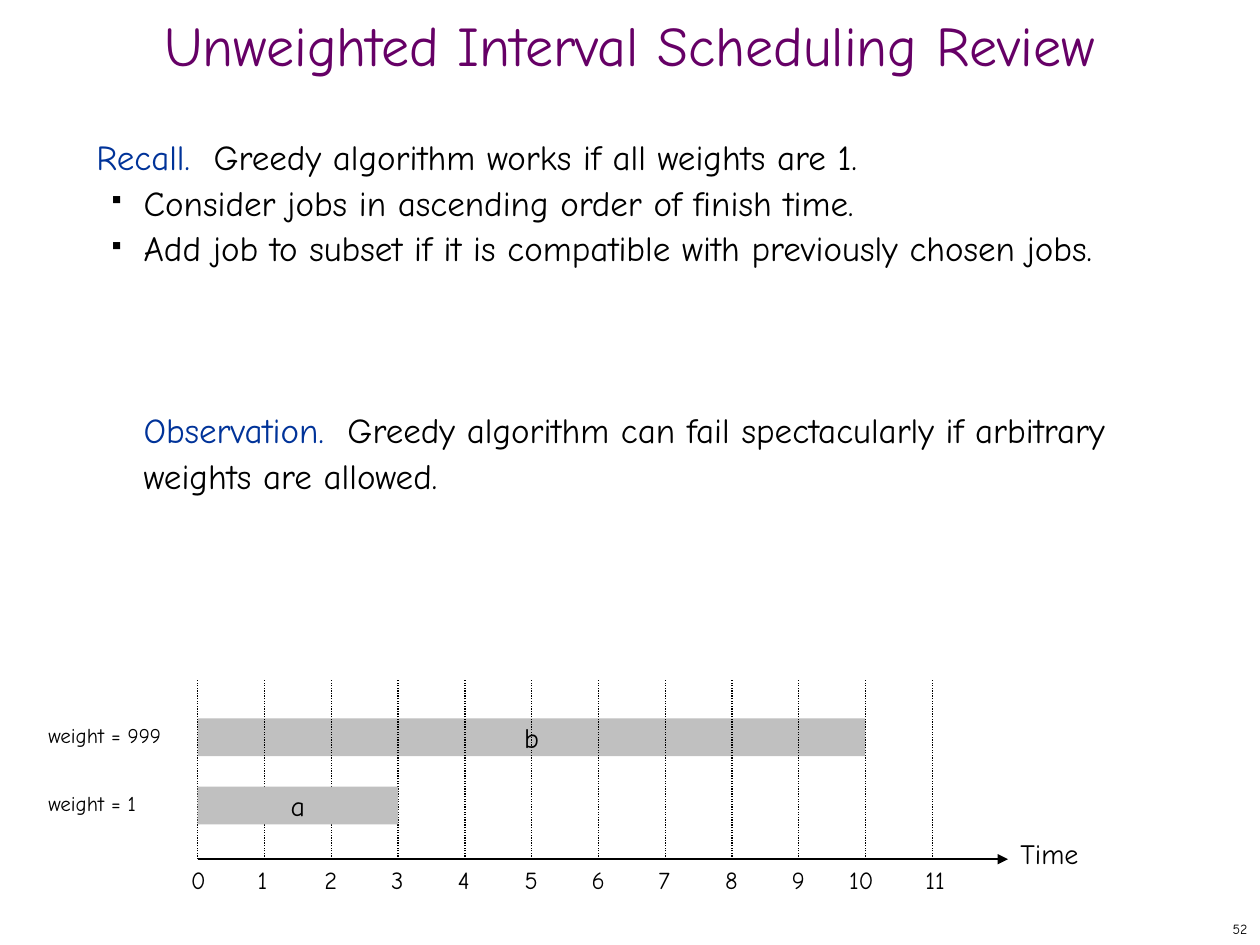
from lxml import etree
from pptx import Presentation
from pptx.dml.color import RGBColor
from pptx.enum.dml import MSO_LINE
from pptx.enum.shapes import MSO_CONNECTOR, MSO_SHAPE
from pptx.enum.text import MSO_ANCHOR, MSO_AUTO_SIZE, PP_ALIGN
from pptx.oxml.ns import qn
from pptx.util import Pt

LEFT, MID, RIGHT = PP_ALIGN.LEFT, PP_ALIGN.CENTER, PP_ALIGN.RIGHT
TOP, CENTRE = MSO_ANCHOR.TOP, MSO_ANCHOR.MIDDLE
GROW = MSO_AUTO_SIZE.SHAPE_TO_FIT_TEXT
RECT, STRAIGHT = MSO_SHAPE.RECTANGLE, MSO_CONNECTOR.STRAIGHT
DOTS = MSO_LINE.ROUND_DOT

FONT = "Comic Neue"
HUE = {"ink": "000000", "title": "660066", "lead": "003399", "bar": "C0C0C0"}
ZERO, STEP, LAST = 113, 38.16, 11
AXIS, CEIL, BAR = 491, 388, 21.6


def rgb(name):
    """Return the named colour."""
    return RGBColor.from_string(HUE[name])


def tick(n):
    """Return the x position of a time mark."""
    return ZERO + n * STEP


def add_run(para, text, size, hue="ink"):
    """Append one styled run."""
    run = para.add_run()
    run.text = text
    font = run.font
    font.name, font.size = FONT, Pt(size)
    font.color.rgb = rgb(hue)


def add_box(slide, box, anchor=TOP):
    """Add an empty wrapping text box and return its frame."""
    frame = slide.shapes.add_textbox(*map(Pt, box)).text_frame
    frame.word_wrap = True
    frame.vertical_anchor = anchor
    return frame


def add_label(slide, box, text, size, hue="ink", align=LEFT, anchor=TOP):
    """Add a text box with one line and return its frame."""
    frame = add_box(slide, box, anchor)
    para = frame.paragraphs[0]
    para.alignment = align
    add_run(para, text, size, hue)
    return frame


def add_line(slide, start, end, width):
    """Add a plain black line."""
    line = slide.shapes.add_connector(STRAIGHT, *map(Pt, start + end))
    line.line.color.rgb = rgb("ink")
    line.line.width = Pt(width)
    etree.SubElement(line._element.spPr, qn("a:effectLst"))
    return line


def add_job(slide, name, span, top):
    """Add a job bar that starts at time zero."""
    bar = slide.shapes.add_shape(
        RECT, Pt(ZERO), Pt(top), Pt(span * STEP), Pt(BAR))
    bar.shadow.inherit = False
    bar.fill.solid()
    bar.fill.fore_color.rgb = rgb("bar")
    bar.line.fill.background()
    frame = bar.text_frame
    frame.word_wrap = False
    frame.vertical_anchor = CENTRE
    para = frame.paragraphs[0]
    para.alignment = MID
    add_run(para, name, 16)


def add_weight(slide, text, top, width):
    """Add the weight label of a job."""
    frame = add_label(slide, (20.5, top, width, BAR), text, 12)
    frame.word_wrap = False
    frame.auto_size = GROW


def indent(para, first=0):
    """Indent a paragraph."""
    props = para._p.get_or_add_pPr()
    props.set("marL", str(Pt(27)))
    props.set("indent", str(Pt(first)))
    return props


def add_bullet(para):
    """Give a paragraph a small square bullet."""
    props = indent(para, -18)
    colour = etree.SubElement(props, qn("a:buClr"))
    etree.SubElement(colour, qn("a:srgbClr"), val=HUE["ink"])
    etree.SubElement(props, qn("a:buSzPct"), val="35000")
    etree.SubElement(props, qn("a:buChar"), char="■")


def add_body(slide):
    """Add the recall, its bullets and the observation."""
    frame = add_box(slide, (48, 72, 618, 426))
    recall = frame.paragraphs[0]
    add_run(recall, "Recall.  ", 20, "lead")
    add_run(recall, "Greedy algorithm works if all weights are 1.", 20)
    for text in (
        "Consider jobs in ascending order of finish time.",
        "Add job to subset if it is compatible with previously chosen jobs.",
    ):
        para = frame.add_paragraph()
        add_bullet(para)
        add_run(para, text, 20)
    note = frame.add_paragraph()
    indent(note)
    note.space_before = Pt(78)
    add_run(note, "Observation.  ", 20, "lead")
    add_run(note, "Greedy algorithm can fail spectacularly if arbitrary "
            "weights are allowed.", 20)
    for para in frame.paragraphs:
        para.line_spacing = Pt(26)


def add_axis(slide):
    """Add the time axis with its numbers."""
    axis = add_line(slide, (ZERO, AXIS), (576, AXIS), 1.25)
    etree.SubElement(axis.line._get_or_add_ln(), qn("a:tailEnd"),
                     type="triangle")
    add_label(slide, (576, 474.5, 60, 26.6), "Time", 16)
    for n in range(LAST + 1):
        nudge = 16.5 if n == 10 else 11
        add_label(slide, (tick(n) - nudge, AXIS, 33, 24), str(n), 14)


def add_grid(slide):
    """Add a dotted line at each time mark."""
    for n in range(LAST + 1):
        line = add_line(slide, (tick(n), AXIS), (tick(n), CEIL), 0.75)
        line.line.dash_style = DOTS


def main():
    """Build the slide."""
    deck = Presentation()
    deck.slide_width, deck.slide_height = Pt(720), Pt(540)
    slide = deck.slides.add_slide(deck.slide_layouts[6])
    add_label(slide, (570, 522, 150, 18), "52", 8, align=RIGHT, anchor=CENTRE)
    title = add_label(slide, (0, 12, 720, 36),
                      "Unweighted Interval Scheduling Review",
                      32, "title", MID, CENTRE)
    title.paragraphs[0].line_spacing = 0.7
    add_body(slide)
    add_axis(slide)
    add_job(slide, "b", 10, 410.5)
    add_grid(slide)
    add_job(slide, "a", 3, 449.5)
    add_weight(slide, "weight = 999", 409.5, 79)
    add_weight(slide, "weight = 1", 448, 65)
    deck.save("out.pptx")


if __name__ == "__main__":
    main()
